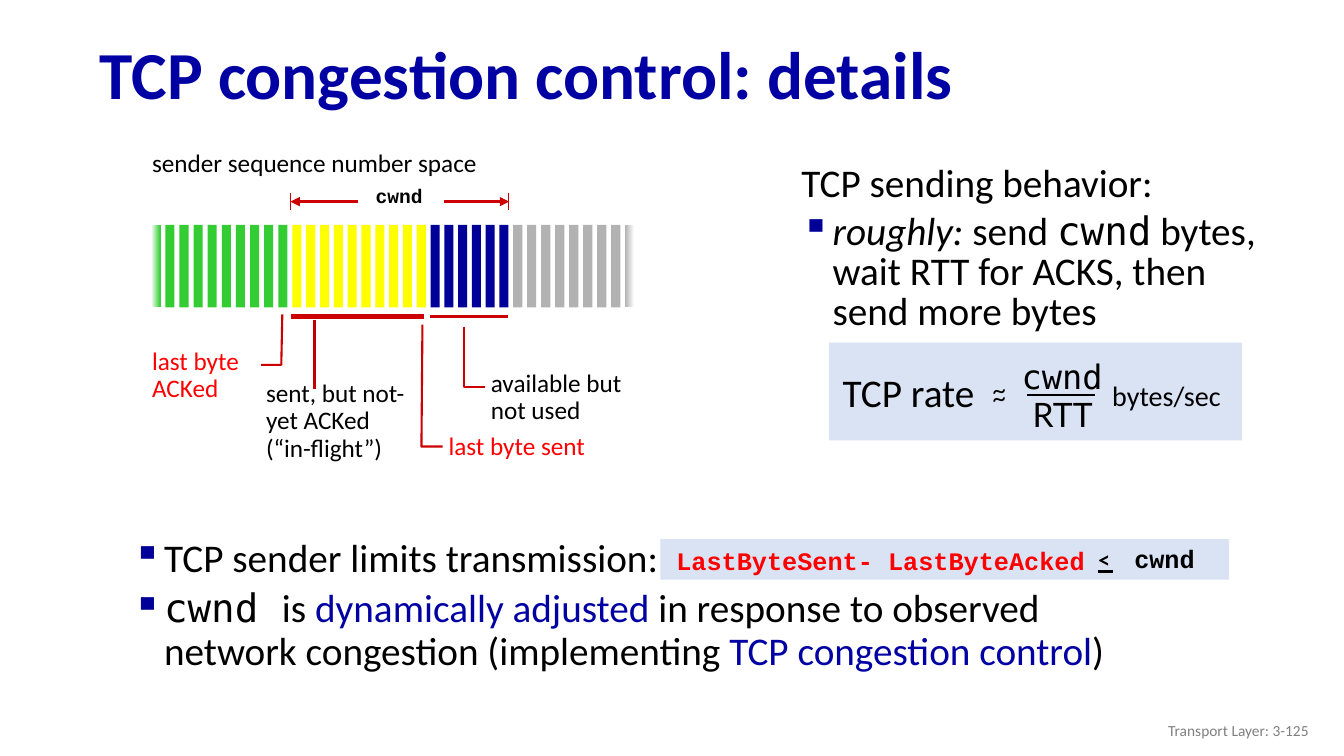
import pptx
import pptx.util
import pptx.dml.color
import pptx.enum.shapes
import pptx.enum.text
import lxml.etree
from pptx.oxml.ns import qn

ALIGN = pptx.enum.text.PP_ALIGN
MIDDLE = pptx.enum.text.MSO_ANCHOR.MIDDLE
NAVY, INK, RED, RULE = "0000A3", "000000", "FF0000", "CC0000"
PALE, MARK = "DAE3F3", "000099"
GREEN, YELLOW, GRAY = "33CC33", "FFFF00", "B2B2B2"

BODY = {"name": "Calibri", "size": 28, "color": INK}
MONO = BODY | {"name": "DejaVu Sans Mono"}
BLUE = BODY | {"color": NAVY}
LABEL = BODY | {"size": 18}
ALERT = LABEL | {"color": RED}
CODE = LABEL | {"name": "Courier New", "bold": True}
SIGN = LABEL | {"name": "Lato"}


def grid(count):
    """Length of a number of columns or rows, each a tenth of an inch."""
    return pptx.util.Emu(round(count * 91440))


def paint(code):
    return pptx.dml.color.RGBColor.from_string(code)


def style(font, form):
    for key, value in form.items():
        if key == "color":
            font.color.rgb = paint(value)
        else:
            setattr(font, key, pptx.util.Pt(value) if key == "size" else value)


def bullet(para):
    props = para._p.get_or_add_pPr()
    props.set("marL", str(grid(3.1)))
    props.set("indent", str(-grid(3.1)))
    tint = lxml.etree.SubElement(props, qn("a:buClr"))
    lxml.etree.SubElement(tint, qn("a:srgbClr")).set("val", MARK)
    lxml.etree.SubElement(props, qn("a:buChar")).set("char", "▪")


def write(frame, paras, space=1.0, align=ALIGN.LEFT, gap=0, marks=()):
    """Fill a frame with paragraphs, each a list of (text, format) runs."""
    for index, runs in enumerate(paras):
        para = frame.paragraphs[0] if index == 0 else frame.add_paragraph()
        look = {"alignment": align, "line_spacing": space,
                "space_before": pptx.util.Pt(gap if index else 0)}
        for key, value in look.items():
            setattr(para, key, value)
        if index in marks:
            bullet(para)
        for words, form in runs:
            run = para.add_run()
            run.text = words
            style(run.font, form)


def text(slide, area, paras, wrap=True, anchor=None, **look):
    frame = slide.shapes.add_textbox(*map(grid, area)).text_frame
    frame.word_wrap = wrap
    if anchor:
        frame.vertical_anchor = anchor
    write(frame, paras, **look)


def block(slide, area, *tints):
    """Draw a borderless box, blended when two colours are given."""
    kind = pptx.enum.shapes.MSO_SHAPE.RECTANGLE
    box = slide.shapes.add_shape(kind, *map(grid, area))
    box.shadow.inherit = False
    box.line.fill.background()
    if len(tints) == 1:
        box.fill.solid()
        box.fill.fore_color.rgb = paint(tints[0])
    else:
        box.fill.gradient()
        box.fill.gradient_angle = 0
        for stop, tint in zip(box.fill.gradient_stops, tints):
            stop.color.rgb = paint(tint)


def stroke(line, width, tint):
    line.color.rgb = paint(tint)
    line.width = pptx.util.Pt(width)


def rule(slide, ends, width, tint=RULE, arrow=False):
    kind = pptx.enum.shapes.MSO_CONNECTOR.STRAIGHT
    link = slide.shapes.add_connector(kind, *map(grid, ends))
    stroke(link.line, width, tint)
    props = link._element.spPr
    if arrow:
        tail = lxml.etree.SubElement(props.find(qn("a:ln")), qn("a:tailEnd"))
        tail.set("type", "triangle")
    lxml.etree.SubElement(props, qn("a:effectLst"))


def elbow(slide, *points):
    first, *rest = [tuple(map(grid, point)) for point in points]
    pen = slide.shapes.build_freeform(*first)
    pen.add_line_segments(rest, close=False)
    path = pen.convert_to_shape()
    path.shadow.inherit = False
    path.fill.background()
    stroke(path.line, 1.5, RULE)


def bars(slide):
    """Draw the sequence numbers, coloured by state and faded at both ends."""
    groups = [(15, 29, 10, GREEN), (29, 42.7, 10, YELLOW),
              (42.7, 50.9, 6, MARK), (50.9, 63.4, 9, GRAY)]
    for start, end, count, tint in groups:
        for index in range(count):
            tints = [tint]
            if tint == GREEN and index == 0:
                tints = ["FFFFFF", tint]
            elif tint == GRAY and index == count - 1:
                tints = [tint, "FFFFFF"]
            left = start + index * (end - start) / count
            block(slide, (left, 22.3, 0.9, 8.2), *tints)


def window(slide):
    text(slide, (14.1, 14.1, 35.2, 4), [[("sender sequence number space", LABEL)]], False)
    text(slide, (35.2, 18, 8.8, 3.8), [[("cwnd", CODE | {"size": 14})]], False,
         space=0.9, align=ALIGN.CENTER)
    for start, end in ((44, 50.5), (35.5, 28.8)):
        rule(slide, (start, 20, end, 20), 2.25, arrow=True)
    for left in (28.8, 50.4):
        rule(slide, (left, 19.1, left, 20.8), 0.75)


def marks(slide):
    elbow(slide, (28, 31.2), (27.9, 36.2), (25.9, 36.2))
    elbow(slide, (41.9, 32.2), (41.8, 44.3), (43.9, 44.3))
    elbow(slide, (46, 32.4), (46, 38.4), (48.1, 38.4))
    rule(slide, (42.7, 31.4, 50.4, 31.4), 2.25)
    rule(slide, (28.9, 31.4, 42.1, 31.4), 3)
    rule(slide, (31.2, 31.7, 31.2, 38.6), 1.5, "C00000")
    labels = [((14.1, 34.1, 10.8, 6.5), ["last byte", "ACKed"], ALERT),
              ((43.5, 42.5, 17.5, 3.7), ["last byte sent"], ALERT),
              ((47.7, 36.3, 17.5, 6.5), ["available but not used"], LABEL),
              ((25.4, 37.3, 18.2, 9.2), ["sent, but not-yet ACKed", "(“in-flight”)"], LABEL)]
    for area, lines, form in labels:
        text(slide, area, [[(line, form)] for line in lines], space=0.9)


def rate(slide):
    text(slide, (78.5, 15.9, 50.2, 26.8), [
        [("TCP sending behavior:", BODY)],
        [("roughly:", BODY | {"italic": True}), (" send ", BODY), ("cwnd", MONO),
         (" bytes, wait RTT for ACKS, then send more bytes", BODY)],
    ], space=0.85, gap=6, marks=(1,))
    block(slide, (82.2, 34, 41, 9.7), PALE)
    parts = [((82.5, 36, 15.2, 5.7), "TCP rate", BODY),
             ((94, 36.6, 10.2, 4), "~", SIGN),
             ((94, 37.4, 10.2, 4), "~", SIGN),
             ((100.3, 34.8, 10.1, 5.1), "cwnd", MONO | {"size": 24}),
             ((101.4, 38.6, 8, 5.1), "RTT", SIGN | {"size": 24}),
             ((109.2, 37.1, 13, 4.4), "bytes/sec", BODY | {"size": 20})]
    for area, words, form in parts:
        text(slide, area, [[(words, form)]], False, align=ALIGN.CENTER)
    rule(slide, (101.9, 39.2, 108.6, 39.2), 1.5, INK)


def limit(slide):
    block(slide, (65.5, 53.5, 56.4, 4), PALE)
    text(slide, (12.2, 52.9, 105.3, 18.5), [
        [("TCP sender limits transmission:", BODY)],
        [("cwnd ", MONO), ("is ", BODY), ("dynamically adjusted ", BLUE),
         ("in response to observed network congestion (implementing ", BODY),
         ("TCP congestion control", BLUE), (")", BODY)],
    ], space=0.9, gap=6, marks=(0, 1))
    text(slide, (66.1, 54.1, 48.1, 3.7),
         [[("LastByteSent- LastByteAcked", CODE | {"color": RED})]], space=0.85)
    less = SIGN | {"size": 16, "bold": True}
    for area, words, form in (((107.6, 53.7, 3.8, 3.7), "<", less),
                              ((111.5, 53.4, 8, 4), "cwnd", CODE)):
        text(slide, area, [[(words, form)]], False, align=ALIGN.CENTER)
    rule(slide, (108.9, 56.7, 110.4, 56.7), 1.5, INK)


def head(slide):
    title = slide.shapes.title
    spots = zip(("left", "top", "width", "height"), (8.9, 2.8, 124.4, 9.8))
    for key, value in spots:
        setattr(title, key, grid(value))
    title.text_frame.vertical_anchor = MIDDLE
    form = BLUE | {"size": 48, "bold": True}
    write(title.text_frame, [[("TCP congestion control: details", form)]], 0.9)


def main():
    deck = pptx.Presentation()
    deck.slide_width, deck.slide_height = grid(133.3), grid(75)
    slide = deck.slides.add_slide(deck.slide_layouts[5])
    for draw in (head, limit, bars, window, marks, rate):
        draw(slide)
    foot = BODY | {"size": 11, "color": "808080"}
    text(slide, (100.8, 70.5, 30, 4), [[("Transport Layer: 3-125", foot)]],
         anchor=MIDDLE, align=ALIGN.RIGHT)
    deck.save("out.pptx")


if __name__ == "__main__":
    main()
